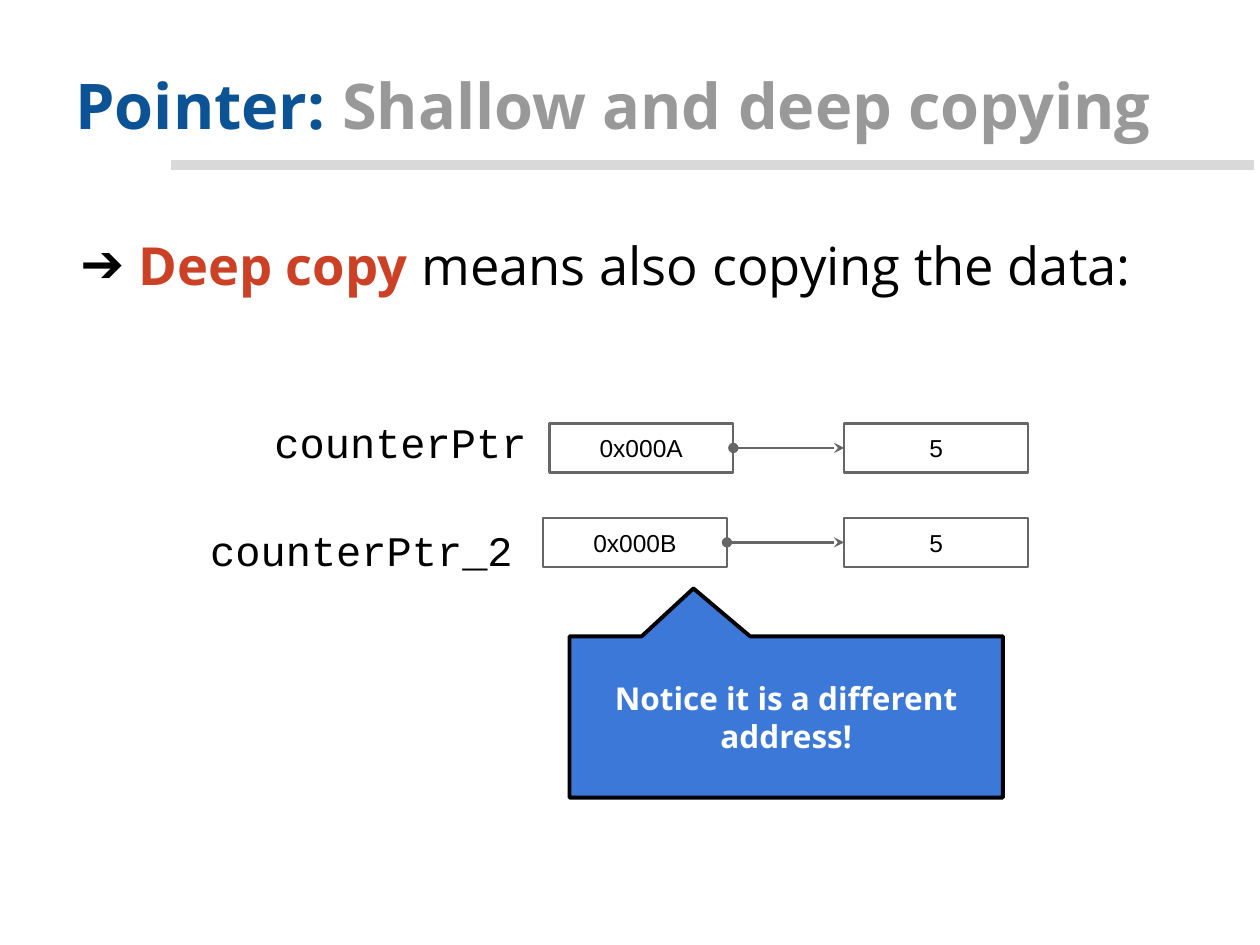
from lxml import etree
from pptx import Presentation
from pptx.dml.color import RGBColor
from pptx.enum import shapes, text
from pptx.oxml.ns import qn
from pptx.util import Inches, Pt

COLORS = {
    "blue": "0B5394", "gray": "999999", "rule": "D9D9D9", "red": "CC4125",
    "black": "000000", "white": "FFFFFF", "outline": "666666", "callout": "3C78D8",
}
CELL_WIDTH, CELL_HEIGHT = 1.46, 0.39
VALUE_LEFT = 6.7


def color(name):
    return RGBColor.from_string(COLORS[name])


def set_frame(shape, anchor):
    frame = shape.text_frame
    frame.word_wrap = True
    frame.vertical_anchor = anchor
    frame.margin_left = frame.margin_right = Inches(0.1)
    frame.margin_top = frame.margin_bottom = Inches(0.1)
    return frame.paragraphs[0]


def add_spans(para, spans, font, size):
    """Add (wording, color, bold) spans to a paragraph."""
    for wording, tint, bold in spans:
        span = para.add_run()
        span.text = wording
        span.font.name, span.font.size, span.font.bold = font, Pt(size), bold
        span.font.color.rgb = color(tint)


def add_text(page, place, spans, font, size, anchor):
    box = page.shapes.add_textbox(*map(Inches, place))
    para = set_frame(box, anchor)
    add_spans(para, spans, font, size)
    return para


def add_arrow_bullet(para):
    props = para._p.get_or_add_pPr()
    props.set("marL", str(Inches(0.5)))
    props.set("indent", str(Inches(-0.46)))
    tint = etree.SubElement(props, qn("a:buClr"))
    etree.SubElement(tint, qn("a:srgbClr"), val=COLORS["black"])
    etree.SubElement(props, qn("a:buFont"), typeface="Arial")
    etree.SubElement(props, qn("a:buChar"), char="➔")


def add_box(page, kind, place, fill, line, width, span, font, size):
    box = page.shapes.add_shape(kind, *map(Inches, place))
    box.shadow.inherit = False
    box.fill.solid()
    box.fill.fore_color.rgb = color(fill)
    box.line.color.rgb = color(line)
    box.line.width = Pt(width)
    para = set_frame(box, text.MSO_ANCHOR.MIDDLE)
    para.alignment = text.PP_ALIGN.CENTER
    add_spans(para, [span], font, size)
    return box


def add_line(page, kind, start, end, tint, width):
    line = page.shapes.add_connector(kind, *map(Inches, start + end))
    line.line.color.rgb = color(tint)
    line.line.width = Pt(width)
    etree.SubElement(line._element.spPr, qn("a:effectLst"))
    return line


def add_cell(page, left, top, wording):
    return add_box(page, shapes.MSO_SHAPE.RECTANGLE, (left, top, CELL_WIDTH, CELL_HEIGHT),
                   "white", "outline", 1.5, (wording, "black", False), "Arial", 14)


def add_pointer(page, name, name_place, left, top, address, value):
    """Add a variable name, its address cell and an arrow to its value cell."""
    add_text(page, name_place, [(name, "black", False)], "Courier New", 24,
             text.MSO_ANCHOR.MIDDLE)
    source = add_cell(page, left, top, address)
    target = add_cell(page, VALUE_LEFT, top, value)
    middle = top + CELL_HEIGHT / 2
    arrow = add_line(page, shapes.MSO_CONNECTOR.CURVE, (left + CELL_WIDTH, middle),
                     (VALUE_LEFT, middle), "outline", 1.5)
    arrow.begin_connect(source, 3)
    arrow.end_connect(target, 1)
    stroke = arrow.line._get_or_add_ln()
    etree.SubElement(stroke, qn("a:headEnd"), type="oval")
    etree.SubElement(stroke, qn("a:tailEnd"), type="stealth")


def add_callout(page):
    callout = add_box(page, shapes.MSO_SHAPE.ROUNDED_RECTANGULAR_CALLOUT,
                      (4.52, 5.05, 3.44, 1.28), "callout", "black", 2.25,
                      ("Notice it is a different address!", "white", True), "Open Sans", 18)
    for index, value in enumerate((-0.214, -0.797, 0)):
        callout.adjustments[index] = value


def main():
    deck = Presentation()
    deck.slide_width, deck.slide_height = Inches(10), Inches(7.5)
    page = deck.slides.add_slide(deck.slide_layouts[6])

    add_line(page, shapes.MSO_CONNECTOR.STRAIGHT, (1.36, 1.31), (9.95, 1.31), "rule", 6)
    add_text(page, (0.5, 0.3, 9, 0.93),
             [("Pointer: ", "blue", True), ("Shallow and deep copying", "gray", True)],
             "Open Sans", 36, text.MSO_ANCHOR.BOTTOM)
    statement = add_text(page, (0.5, 1.75, 9, 5.43),
                         [("Deep copy", "red", True),
                          (" means also copying the data:", "black", False)],
                         "Open Sans", 30, text.MSO_ANCHOR.TOP)
    add_arrow_bullet(statement)

    add_pointer(page, "counterPtr", (2.08, 3.21, 2.23, 0.59), 4.36, 3.36, "0x000A", "5")
    add_pointer(page, "counterPtr_2", (1.57, 4.07, 2.83, 0.59), 4.31, 4.11, "0x000B", "5")
    add_callout(page)
    deck.save("out.pptx")


if __name__ == "__main__":
    main()
